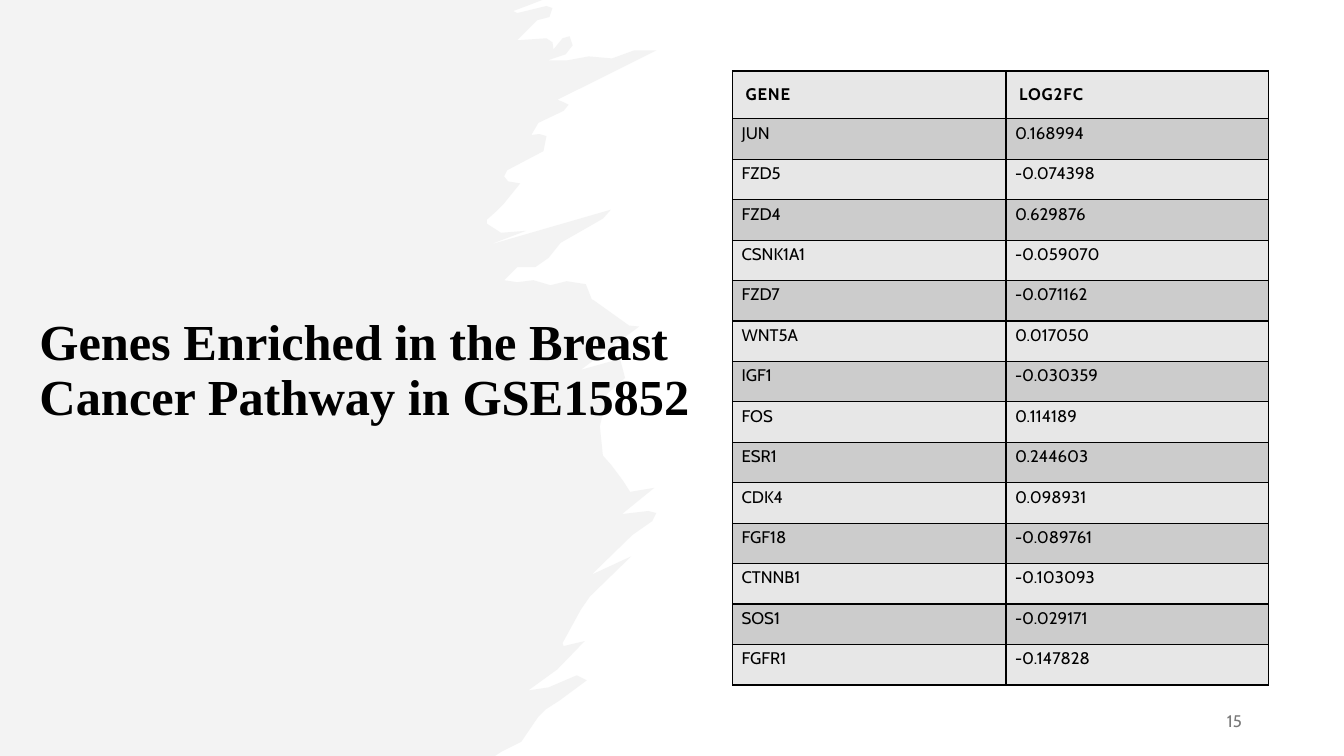
from dataclasses import dataclass

from lxml import etree
from pptx import Presentation
from pptx.dml.color import RGBColor
from pptx.enum.text import MSO_ANCHOR, MSO_AUTO_SIZE, PP_ALIGN
from pptx.oxml.ns import qn
from pptx.util import Inches, Pt

LEFT, RIGHT = PP_ALIGN.LEFT, PP_ALIGN.RIGHT
TOP, MIDDLE, BOTTOM = MSO_ANCHOR.TOP, MSO_ANCHOR.MIDDLE, MSO_ANCHOR.BOTTOM
NO_AUTOFIT = MSO_AUTO_SIZE.NONE

SLIDE_WIDTH, SLIDE_HEIGHT = Inches(13.33), Inches(7.5)
UNITS_PER_INCH = 100
HEADER_WEIGHT = 1.18
GENE_COLUMN_SHARE = 0.51


@dataclass(frozen=True)
class Theme:
    """Colours, fonts and type sizes of the slide."""

    ink: str = "000000"
    muted: str = "797979"
    brush: str = "E8E8E8"
    brush_alpha: int = 50
    light_row: str = "E7E7E7"
    dark_row: str = "CCCCCC"
    title_font: str = "Times New Roman"
    body_font: str = "Cabin"
    title_size: int = 36
    body_size: int = 12
    border_width: int = 1


THEME = Theme()

GENES = [
    ("GENE", "LOG2FC"),
    ("JUN", "0.168994"),
    ("FZD5", "-0.074398"),
    ("FZD4", "0.629876"),
    ("CSNK1A1", "-0.059070"),
    ("FZD7", "-0.071162"),
    ("WNT5A", "0.017050"),
    ("IGF1", "-0.030359"),
    ("FOS", "0.114189"),
    ("ESR1", "0.244603"),
    ("CDK4", "0.098931"),
    ("FGF18", "-0.089761"),
    ("CTNNB1", "-0.103093"),
    ("SOS1", "-0.029171"),
    ("FGFR1", "-0.147828"),
]

BRUSH_EDGE = [
    (491, 750), (497, 746), (517, 736), (534, 711), (541, 704), (555, 695),
    (582, 675), (572, 670), (544, 682), (524, 685), (553, 664), (580, 636),
    (559, 641), (558, 638), (576, 605), (585, 592), (626, 552), (587, 570),
    (627, 531), (647, 517), (651, 509), (643, 507), (617, 510), (649, 484),
    (625, 488), (618, 477), (606, 461), (598, 452), (595, 423), (602, 391),
    (620, 375), (615, 356), (576, 367), (634, 324), (624, 323), (589, 298),
    (587, 297), (581, 282), (562, 279), (546, 283), (529, 278), (513, 280),
    (500, 278), (513, 265), (531, 265), (544, 256), (556, 241), (598, 217),
    (606, 208), (485, 243), (522, 229), (497, 231), (483, 222), (483, 218),
    (493, 209), (499, 203), (516, 182), (504, 180), (500, 175), (503, 169),
    (539, 150), (542, 135), (535, 133), (527, 134), (534, 122), (559, 110),
    (564, 104), (558, 101), (553, 99), (651, 50), (629, 50), (607, 58),
    (584, 56), (562, 60), (543, 60), (561, 54), (568, 45), (565, 36),
    (558, 38), (549, 49), (548, 42), (542, 38), (513, 40), (533, 20),
    (545, 17), (548, 8), (542, 6), (513, 13), (509, 11), (525, 5),
    (538, 0),
]


def percent_box(left, top, width, height):
    """Turn percentages of the slide into left, top, width and height."""
    return (
        int(SLIDE_WIDTH * left / 100),
        int(SLIDE_HEIGHT * top / 100),
        int(SLIDE_WIDTH * width / 100),
        int(SLIDE_HEIGHT * height / 100),
    )


def style_font(font, name, size, color, bold=False):
    """Apply a typeface, size, colour and weight to a font."""
    font.name, font.size, font.bold = name, Pt(size), bold
    font.color.rgb = RGBColor.from_string(color)


def add_brush(slide):
    """Draw the translucent panel with its ragged right edge."""
    builder = slide.shapes.build_freeform(0, 0, scale=Inches(1) / UNITS_PER_INCH)
    builder.add_line_segments([(0, 750), *BRUSH_EDGE], close=True)
    brush = builder.convert_to_shape()
    brush.shadow.inherit = False
    brush.line.fill.background()
    brush.fill.solid()
    brush.fill.fore_color.rgb = RGBColor.from_string(THEME.brush)
    color = brush._element.spPr.find(qn("a:solidFill"))[0]
    etree.SubElement(color, qn("a:alpha"), val=str(THEME.brush_alpha * 1000))
    slide.shapes._spTree.insert(2, brush._element)


def add_title(slide, text, box):
    """Place and format the title placeholder."""
    title = slide.shapes.title
    title.left, title.top, title.width, title.height = box
    frame = title.text_frame
    frame.text = text
    frame.word_wrap, frame.auto_size = True, NO_AUTOFIT
    frame.vertical_anchor = BOTTOM
    frame.margin_bottom = Inches(0.7)
    paragraph = frame.paragraphs[0]
    paragraph.alignment, paragraph.line_spacing = LEFT, 0.9
    style_font(paragraph.font, THEME.title_font, THEME.title_size, THEME.ink, True)


def add_borders(cell):
    """Outline all four sides of a table cell."""
    properties = cell._tc.get_or_add_tcPr()
    for side in ("lnL", "lnR", "lnT", "lnB"):
        line = etree.SubElement(properties, qn(f"a:{side}"), w=str(Pt(THEME.border_width)))
        fill = etree.SubElement(line, qn("a:solidFill"))
        etree.SubElement(fill, qn("a:srgbClr"), val=THEME.ink)


def fill_cell(cell, text, row_index):
    """Write and format one cell according to its row."""
    header = row_index == 0
    cell.text = text
    cell.vertical_anchor = TOP
    side, top, bottom = (0.13, 0.13, 0.13) if header else (0.09, 0.04, 0.09)
    cell.margin_left = cell.margin_right = Inches(side)
    cell.margin_top, cell.margin_bottom = Inches(top), Inches(bottom)
    paragraph = cell.text_frame.paragraphs[0]
    style_font(paragraph.font, THEME.body_font, THEME.body_size, THEME.ink, header)
    if header:
        paragraph.runs[0].font._element.set("spc", "60")
    add_borders(cell)
    cell.fill.solid()
    row_color = THEME.dark_row if row_index % 2 else THEME.light_row
    cell.fill.fore_color.rgb = RGBColor.from_string(row_color)


def add_gene_table(slide, rows, box):
    """Build the table of genes and fold changes."""
    table = slide.shapes.add_table(len(rows), 2, *box).table
    width, height = box[2:]
    table.columns[0].width = int(width * GENE_COLUMN_SHARE)
    table.columns[1].width = width - table.columns[0].width
    row_height = height / (len(rows) - 1 + HEADER_WEIGHT)
    for row_index, values in enumerate(rows):
        weight = 1 if row_index else HEADER_WEIGHT
        table.rows[row_index].height = int(row_height * weight)
        for column_index, text in enumerate(values):
            fill_cell(table.cell(row_index, column_index), text, row_index)


def add_page_number(slide, text, box):
    """Add the right-aligned page number."""
    frame = slide.shapes.add_textbox(*box).text_frame
    frame.word_wrap, frame.vertical_anchor = True, MIDDLE
    frame.text = text
    paragraph = frame.paragraphs[0]
    paragraph.alignment = RIGHT
    style_font(paragraph.font, THEME.body_font, THEME.body_size, THEME.muted)


def main():
    """Build and save the slide."""
    presentation = Presentation()
    presentation.slide_width, presentation.slide_height = SLIDE_WIDTH, SLIDE_HEIGHT
    slide = presentation.slides.add_slide(presentation.slide_layouts[5])
    add_brush(slide)
    add_title(slide, "Genes Enriched in the Breast Cancer Pathway in GSE15852",
              percent_box(2.18, 17.73, 50.03, 48))
    add_gene_table(slide, GENES, percent_box(54.5, 9.4, 39.9, 81.25))
    add_page_number(slide, "15", percent_box(70.65, 92.67, 22.5, 5.33))
    presentation.save("out.pptx")


if __name__ == "__main__":
    main()
